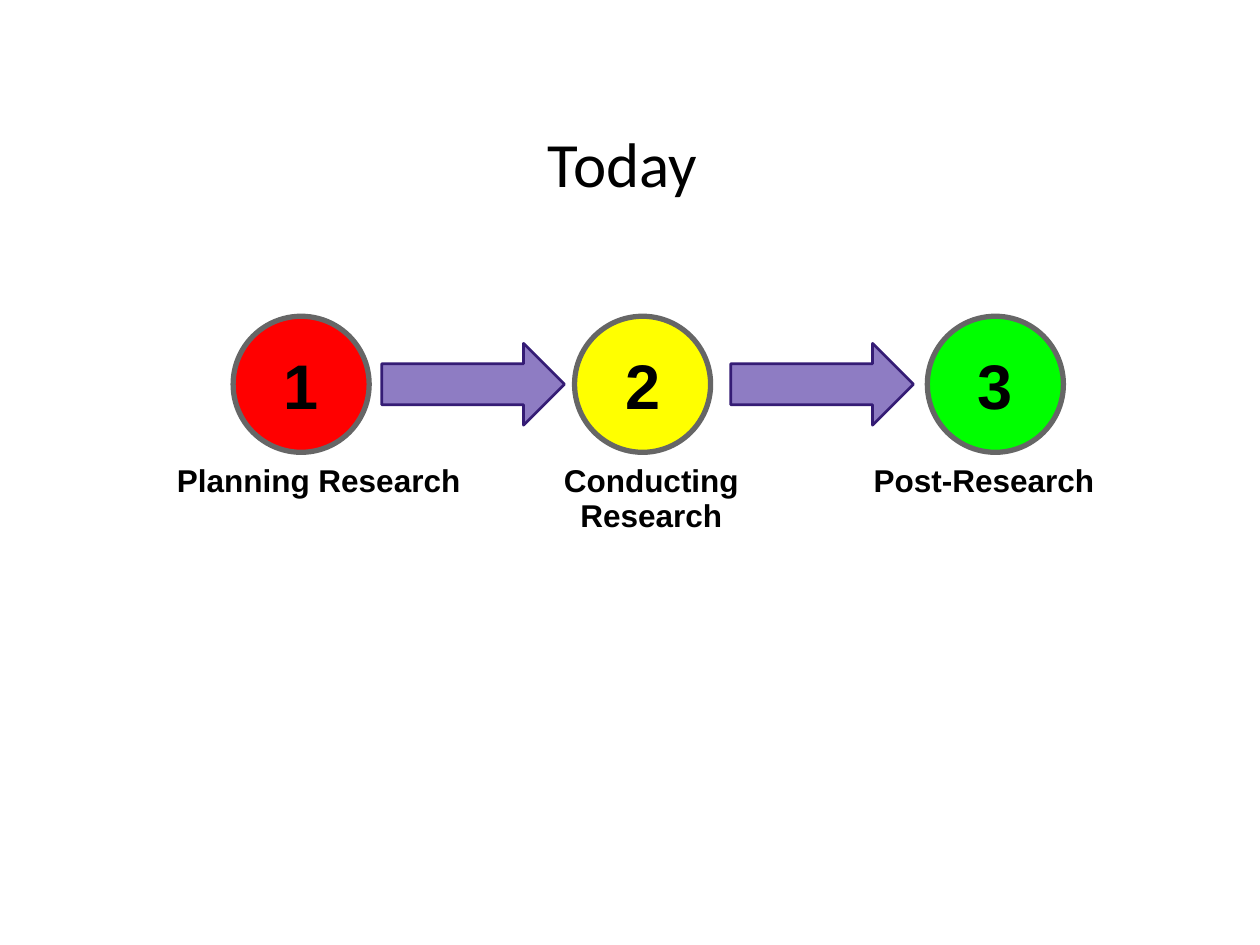
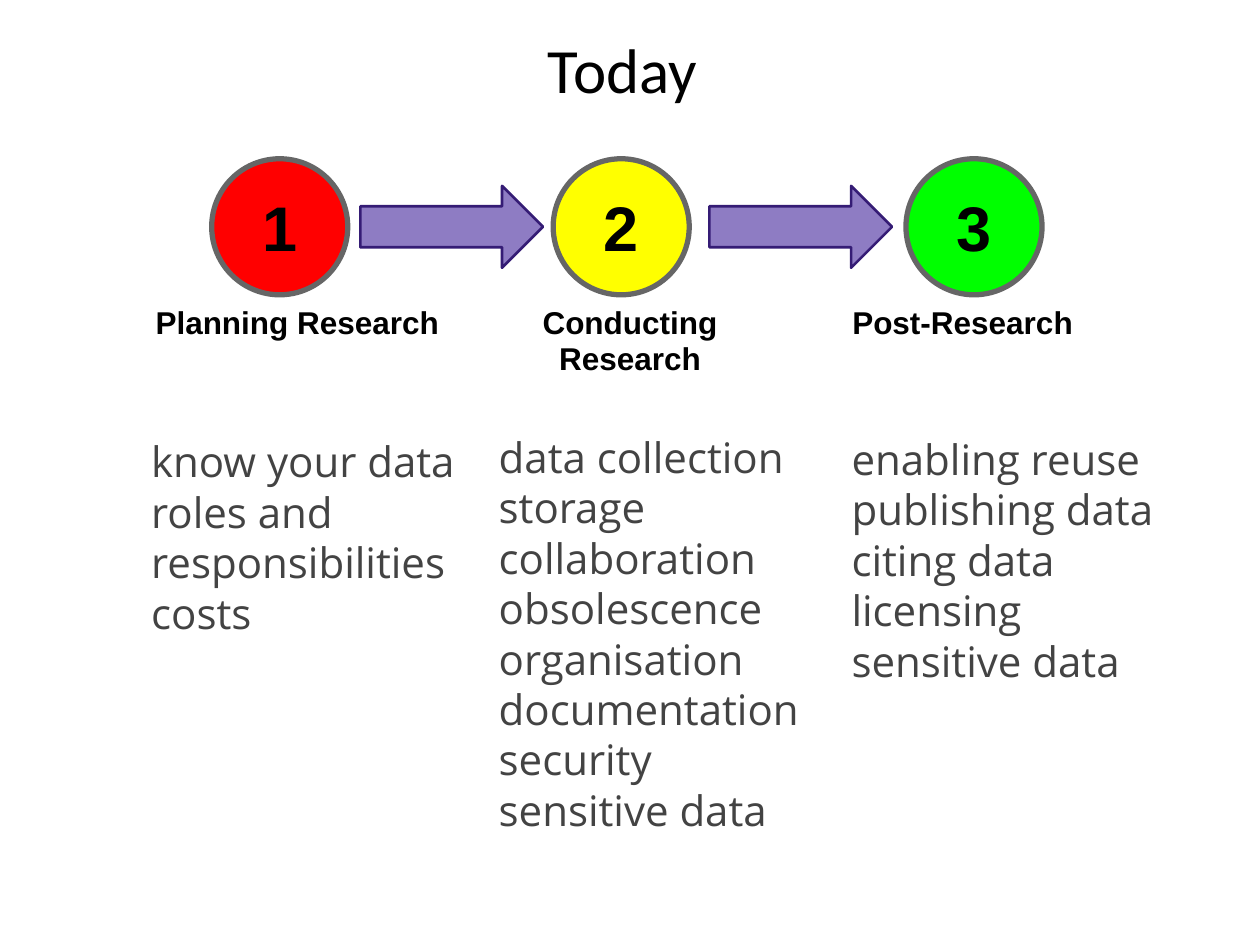
from pptx import Presentation
from pptx import util as u
from pptx.dml.color import RGBColor
from pptx.enum import shapes, text
from pptx.oxml.ns import qn
from lxml import etree

HEX = {"ink": "000000", "list": "434343", "ring": "666666",
       "arrow": "8E7CC3", "edge": "351C75"}
TITLE = "Today"
# number, label, fill, circle's left from the table's left
STEPS = [("1", "Planning Research", "FF0000", 0.64),
         ("2", "Conducting Research", "FFFF00", 3.35),
         ("3", "Post-Research", "00FF00", 6.15)]
ARROWS = [1.82, 4.59]
# title top, left and top of the step diagram
SLIDES = [(0.86, 1.21, 2.51), (0.11, 1.04, 1.26)]
BODY = ["know your data", "roles and responsibilities", "costs"]
BODY_BOX = (0.6, 3.41, 3.34, 1.87)
LISTS = [
    (["enabling reuse", "publishing data", "citing data", "licensing",
      "sensitive data"], (6.16, 3.34, 3.81, 2.3), "TOP"),
    (["data collection", "storage", "collaboration", "obsolescence",
      "organisation", "documentation", "security", "sensitive data"],
     (3.36, 3.18, 3.34, 3.69), "MIDDLE"),
]
DISC, ARROW_W, ARROW_H = 1.08, 1.45, 0.65
COL, ROWS = 2.64, [0.42, 0.15, 0.42, 0.42]


def rgb(code):
    return RGBColor.from_string(code)


def inch(box):
    return [u.Inches(n) for n in box]


def place(shape, box):
    shape.left, shape.top, shape.width, shape.height = inch(box)


def fill_text(frame, lines, size=18, font="Arial", ink="ink", bold=False,
              align="CENTER", indent=None):
    frame.text = "\n".join(lines)
    for par in frame.paragraphs:
        par.alignment = text.PP_ALIGN[align]
        par.space_before = u.Pt(0)
        if indent is not None:
            props = par._p.get_or_add_pPr()
            props.set("marL", str(u.Inches(indent)))
            props.set("indent", "0")
            etree.SubElement(props, qn("a:buNone"))
        for run in par.runs:
            face = run.font
            face.size, face.name, face.bold = u.Pt(size), font, bold
            face.color.rgb = rgb(HEX[ink])


def write(frame, lines, anchor="MIDDLE", pad=0.1, **style):
    """Set up a shape's text frame, then fill it."""
    frame.word_wrap = True
    frame.auto_size = text.MSO_AUTO_SIZE.NONE
    frame.vertical_anchor = text.MSO_ANCHOR[anchor]
    frame.margin_left = frame.margin_right = u.Inches(0.1)
    frame.margin_top = frame.margin_bottom = u.Inches(pad)
    fill_text(frame, lines, **style)


def write_list(shape, lines, anchor="TOP", pad=0.1):
    write(shape.text_frame, lines, size=24, font="Open Sans", ink="list",
          align="LEFT", anchor=anchor, pad=pad, indent=0.5)


def draw(slide, kind, box, fill, line, width):
    shape = slide.shapes.add_shape(shapes.MSO_SHAPE[kind], *inch(box))
    shape.shadow.inherit = False
    shape.fill.solid()
    shape.fill.fore_color.rgb = rgb(fill)
    shape.line.color.rgb = rgb(line)
    shape.line.width = u.Pt(width)
    return shape


def clear(cell):
    """Leave a cell with no fill and no borders."""
    cell.fill.background()
    props = cell._tc.get_or_add_tcPr()
    for spot, side in enumerate(("lnL", "lnR", "lnT", "lnB")):
        edge = etree.Element(qn("a:" + side), w="0")
        etree.SubElement(edge, qn("a:noFill"))
        props.insert(spot, edge)


def add_labels(slide, left, top):
    box = (left, top, COL * len(STEPS), sum(ROWS))
    table = slide.shapes.add_table(len(ROWS), len(STEPS), *inch(box)).table
    table.first_row = table.horz_banding = False
    for row, high in zip(table.rows, ROWS):
        row.height = u.Inches(high)
    for col, step in enumerate(STEPS):
        table.columns[col].width = u.Inches(COL)
        for row in range(len(ROWS)):
            cell = table.cell(row, col)
            clear(cell)
            cell.margin_left = cell.margin_right = u.Inches(0.1)
            cell.margin_top = cell.margin_bottom = u.Inches(0.1)
        fill_text(table.cell(0, col).text_frame, [step[1]], bold=True)


def add_steps(slide, left, top):
    add_labels(slide, left, top + DISC - 0.01)
    for x in ARROWS:
        draw(slide, "RIGHT_ARROW",
             (left + x, top + (DISC - ARROW_H) / 2, ARROW_W, ARROW_H),
             HEX["arrow"], HEX["edge"], 1.5)
    for num, _, fill, x in STEPS:
        disc = draw(slide, "OVAL", (left + x, top, DISC, DISC),
                    fill, HEX["ring"], 3)
        write(disc.text_frame, [num], size=36, bold=True)


def add_slide(deck, layout, title_top, left, top):
    slide = deck.slides.add_slide(deck.slide_layouts[layout])
    title = slide.shapes.title
    place(title, (1.85, title_top, 6.18, 0.86))
    write(title.text_frame, [TITLE], size=36, font="Calibri", pad=0.05)
    add_steps(slide, left, top)
    return slide


def main():
    deck = Presentation()
    deck.slide_width, deck.slide_height = inch((10, 7.5))
    add_slide(deck, 5, *SLIDES[0])
    slide = add_slide(deck, 1, *SLIDES[1])
    body = slide.placeholders[1]
    place(body, BODY_BOX)
    write_list(body, BODY, pad=0.05)
    for lines, box, anchor in LISTS:
        write_list(slide.shapes.add_textbox(*inch(box)), lines, anchor)
    deck.save("out.pptx")


if __name__ == "__main__":
    main()
